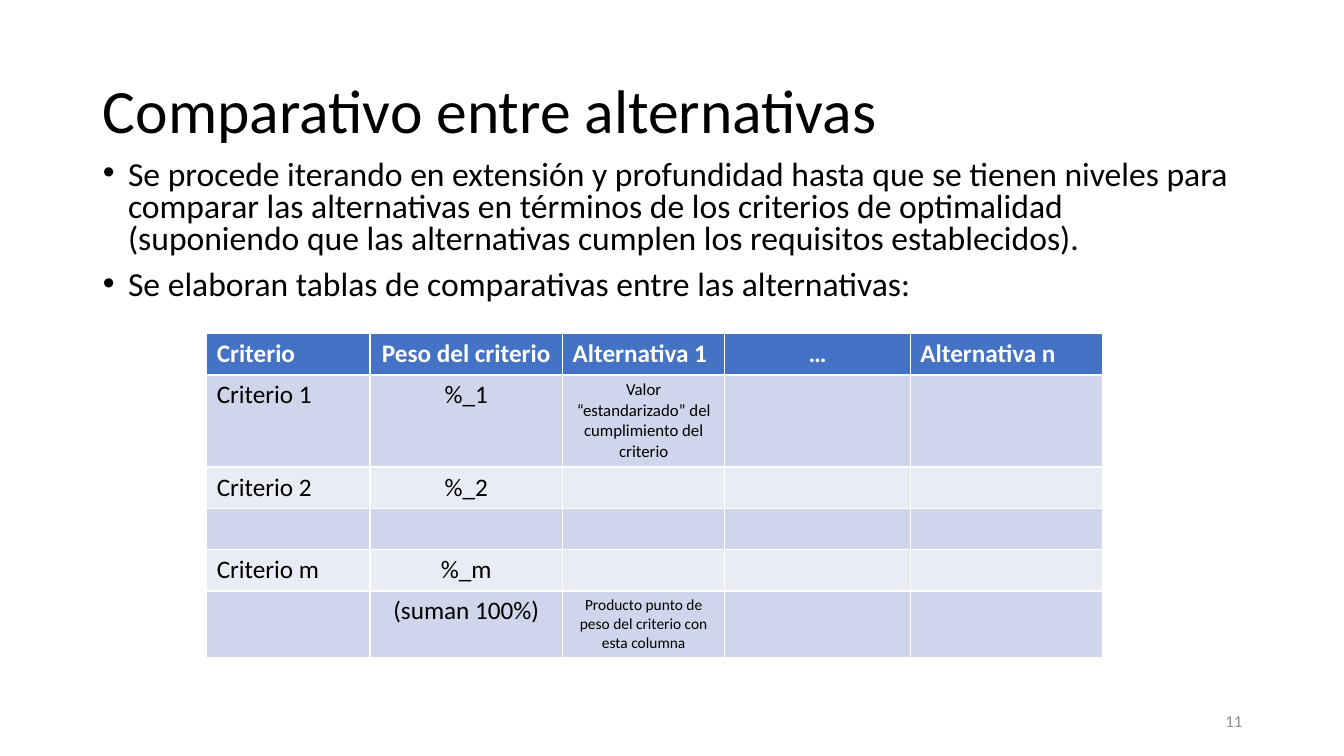
from dataclasses import dataclass

from pptx import Presentation
from pptx.dml.color import RGBColor
from pptx.enum.text import MSO_ANCHOR, MSO_AUTO_SIZE, PP_ALIGN
from pptx.util import Inches, Pt

TITLE = "Comparativo entre alternativas"
POINTS = [
    "Se procede iterando en extensión y profundidad hasta que se tienen niveles para "
    "comparar las alternativas en términos de los criterios de optimalidad "
    "(suponiendo que las alternativas cumplen los requisitos establecidos).",
    "Se elaboran tablas de comparativas entre las alternativas:",
]
HEADER = ["Criterio", "Peso del criterio", "Alternativa 1", "…", "Alternativa n"]
CRITERIA = [
    ["Criterio 1", "%_1", "Valor “estandarizado” del cumplimiento del criterio", "", ""],
    ["Criterio 2", "%_2", "", "", ""],
    ["", "", "", "", ""],
    ["Criterio m", "%_m", "", "", ""],
    ["", "(suman 100%)", "Producto punto de peso del criterio con esta columna", "", ""],
]
PAGE_NUMBER = "11"


@dataclass(frozen=True)
class Theme:
    font: str = "Calibri"
    ink: str = "000000"
    light: str = "FFFFFF"
    muted: str = "8C8C8C"
    header: str = "4472C4"
    bands: tuple = ("CFD5EA", "E9EBF5")
    title: int = 44
    body: int = 24
    cell: int = 18
    value_note: int = 12
    product_note: int = 11
    number: int = 12


THEME = Theme()
PAGE_WIDTH, PAGE_HEIGHT = 13.33, 7.5
MARGIN = 0.92
CONTENT_WIDTH = 11.5
NUMBER_WIDTH = 3
TABLE_LEFT, TABLE_TOP = 2.05, 3.31
COLUMN_WIDTHS = [1.62, 1.91, 1.61, 1.84, 1.91]
ROW_HEIGHT = 0.41
BULLET_INDENT = Inches(0.25)
NOTE_SIZES = {(1, 2): THEME.value_note, (len(CRITERIA), 2): THEME.product_note}
CENTERED_HEADERS = {1, 3}


def place(box, left, top, width, height):
    box.left, box.top = Inches(left), Inches(top)
    box.width, box.height = Inches(width), Inches(height)


def style(para, size, color, align=PP_ALIGN.LEFT, bold=False):
    para.alignment = align
    para.font.name = THEME.font
    para.font.size = Pt(size)
    para.font.bold = bold
    para.font.color.rgb = RGBColor.from_string(color)


def add_title(page):
    box = page.shapes.title
    place(box, MARGIN, 0.4, CONTENT_WIDTH, 1.45)
    frame = box.text_frame
    frame.text = TITLE
    frame.auto_size = MSO_AUTO_SIZE.NONE
    frame.vertical_anchor = MSO_ANCHOR.MIDDLE
    para = frame.paragraphs[0]
    style(para, THEME.title, THEME.ink)
    para.line_spacing = 0.9


def add_points(page):
    box = page.placeholders[1]
    place(box, MARGIN, 1.54, CONTENT_WIDTH, 1.68)
    frame = box.text_frame
    frame.text = "\n".join(POINTS)
    frame.auto_size = MSO_AUTO_SIZE.NONE
    for para in frame.paragraphs:
        style(para, THEME.body, THEME.ink)
        para.line_spacing = 0.8
        para.space_before = Pt(10)
        properties = para._p.get_or_add_pPr()
        properties.set("marL", str(BULLET_INDENT))
        properties.set("indent", str(-BULLET_INDENT))


def add_comparison(page):
    rows = [HEADER, *CRITERIA]
    table = page.shapes.add_table(
        len(rows), len(HEADER), Inches(TABLE_LEFT), Inches(TABLE_TOP),
        Inches(sum(COLUMN_WIDTHS)), Inches(ROW_HEIGHT * len(rows)),
    ).table
    for column, width in zip(table.columns, COLUMN_WIDTHS):
        column.width = Inches(width)
    for row_index, texts in enumerate(rows):
        table.rows[row_index].height = Inches(ROW_HEIGHT)
        is_header = row_index == 0
        fill = THEME.header if is_header else THEME.bands[(row_index - 1) % 2]
        color = THEME.light if is_header else THEME.ink
        for column_index, text in enumerate(texts):
            cell = table.cell(row_index, column_index)
            cell.text = text
            cell.fill.solid()
            cell.fill.fore_color.rgb = RGBColor.from_string(fill)
            centered = column_index in CENTERED_HEADERS if is_header else column_index > 0
            align = PP_ALIGN.CENTER if centered else PP_ALIGN.LEFT
            size = NOTE_SIZES.get((row_index, column_index), THEME.cell)
            style(cell.text_frame.paragraphs[0], size, color, align, is_header)


def add_page_number(page):
    left = MARGIN + CONTENT_WIDTH - NUMBER_WIDTH
    box = page.shapes.add_textbox(0, 0, 0, 0)
    place(box, left, 6.95, NUMBER_WIDTH, 0.4)
    frame = box.text_frame
    frame.word_wrap = True
    frame.vertical_anchor = MSO_ANCHOR.MIDDLE
    frame.text = PAGE_NUMBER
    style(frame.paragraphs[0], THEME.number, THEME.muted, PP_ALIGN.RIGHT)


def main():
    deck = Presentation()
    deck.slide_width, deck.slide_height = Inches(PAGE_WIDTH), Inches(PAGE_HEIGHT)
    page = deck.slides.add_slide(deck.slide_layouts[1])
    add_title(page)
    add_points(page)
    add_comparison(page)
    add_page_number(page)
    deck.save("out.pptx")


if __name__ == "__main__":
    main()
